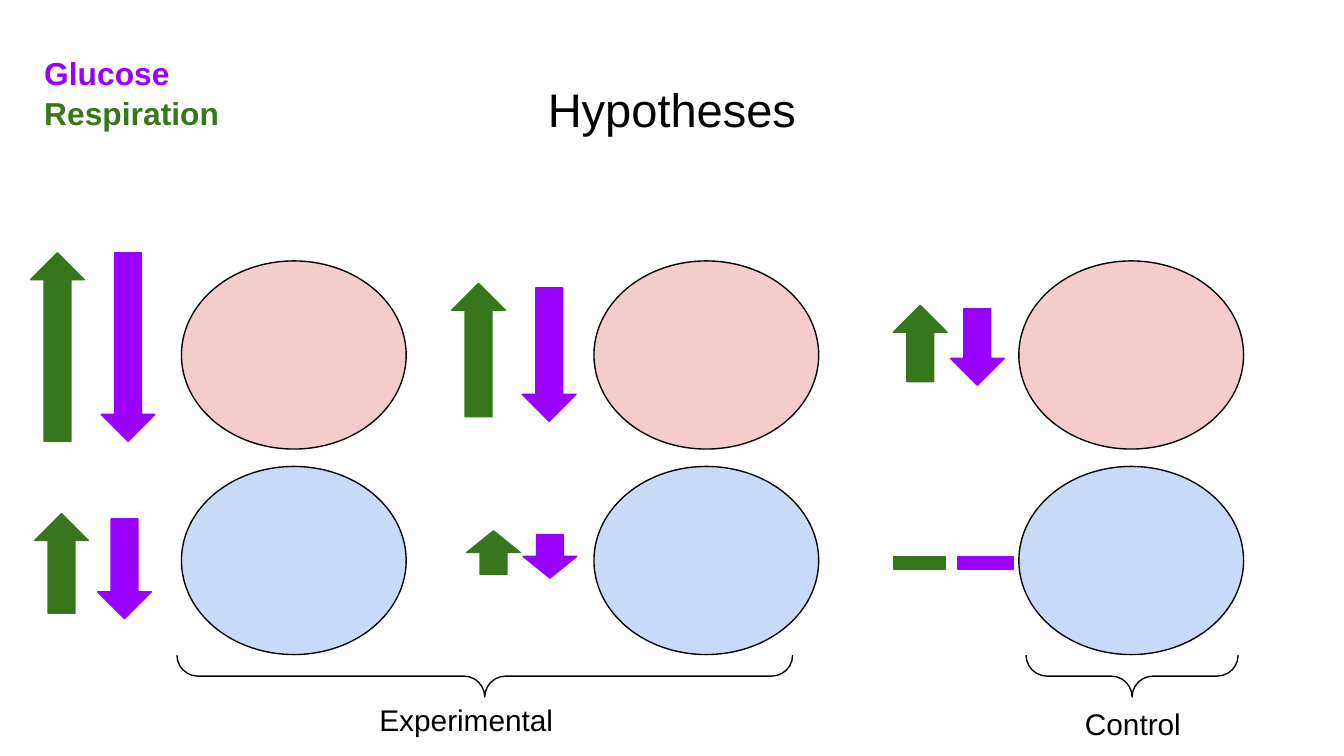
from pptx import Presentation
from pptx.dml.color import RGBColor
from pptx.enum import shapes, text
from pptx.util import Pt

KIND = shapes.MSO_SHAPE
GREEN, PURPLE = "38761D", "9900FF"
PINK, BLUE, BLACK = "F4CCCC", "C9DAF8", "000000"


def color(code):
    return RGBColor.from_string(code)


class Board:
    face = "Arial"
    stroke = 0.75

    def __init__(self, slide):
        self.slide = slide

    def group(self):
        return self.slide.shapes.add_group_shape()

    def shape(self, kind, box, fill=None, line=BLACK, turn=0, adjust=(), home=None):
        """Draw a preset shape on the slide, or in the group given as home."""
        item = (home or self.slide).shapes.add_shape(kind, *map(Pt, box))
        item.shadow.inherit = False
        item.rotation = turn
        for i, value in enumerate(adjust):
            item.adjustments[i] = value
        if fill:
            item.fill.solid()
            item.fill.fore_color.rgb = color(fill)
        else:
            item.fill.background()
        item.line.color.rgb = color(line)
        item.line.width = Pt(self.stroke)

    def label(self, box, lines, size, align="CENTER", anchor="TOP", bold=False, space=1):
        """Write one paragraph for each (words, colour) pair in lines."""
        frame = self.slide.shapes.add_textbox(*map(Pt, box)).text_frame
        style = {"word_wrap": True, "vertical_anchor": text.MSO_ANCHOR[anchor]}
        for side in ("left", "top", "right", "bottom"):
            style["margin_" + side] = Pt(7.2)
        for name, value in style.items():
            setattr(frame, name, value)
        for i, (words, ink) in enumerate(lines):
            para = frame.add_paragraph() if i else frame.paragraphs[0]
            para.alignment = text.PP_ALIGN[align]
            para.line_spacing = space
            run = para.add_run()
            run.text = words
            for name, value in {"name": self.face, "size": Pt(size), "bold": bold}.items():
                setattr(run.font, name, value)
            run.font.color.rgb = color(ink)

    def dishes(self, left, home=None):
        """Place a warm dish above a cool one."""
        for top, fill in ((139.8, PINK), (249.9, BLUE)):
            self.shape(KIND.OVAL, (left, top, 120.4, 100.8), fill, home=home)

    def brace(self, mid, width):
        """Draw a brace that opens upward, centred on mid."""
        deep, level = 22.4, 362.2
        box = (mid - deep / 2, level - width / 2, deep, width)
        self.shape(KIND.LEFT_BRACE, box, turn=270, adjust=(0.5, 0.5))

    def arrows(self, up, down, tall):
        """Pair a rising green arrow with a falling purple one."""
        home = self.group()
        for spot, ink, turn in ((up, GREEN, 0), (down, PURPLE, 180)):
            self.shape(KIND.UP_ARROW, (*spot, 28.8, tall), ink, ink, turn, (0.5, 0.5), home)

    def dashes(self, top, tall):
        """Pair two level bars that stand for no change."""
        home = self.group()
        for left, wide, ink in ((473.8, 37.6, GREEN), (507.8, 40.6, PURPLE)):
            self.shape(KIND.MATH_MINUS, (left, top, wide, tall), ink, ink,
                       adjust=(0.235,), home=home)


def main():
    deck = Presentation()
    deck.slide_width, deck.slide_height = Pt(720), Pt(405)
    board = Board(deck.slides.add_slide(deck.slide_layouts[6]))

    board.label((24.5, 35.3, 671, 45.4), [("Hypotheses", BLACK)], 25.2, anchor="MIDDLE")
    board.label((16.6, 20.9, 147.6, 51.8), [("Glucose", PURPLE), ("Respiration", GREEN)],
                17, align="LEFT", bold=True, space=1.04)

    for left in (97.2, 318.2):
        board.dishes(left)
    board.dishes(545.8, board.group())

    for left, top, name, mid, width in ((150.5, 368.6, "Experimental", 259.7, 329.8),
                                        (507.6, 370.8, "Control", 606.5, 113.6)):
        board.label((left, top, 198.7, 23), [(name, BLACK)], 16)
        board.brace(mid, width)

    board.dashes(288, 27.4)
    for up, down, tall in (
        ((478.6, 163.6), (509.2, 165.4), 41),
        ((250, 284.4), (280.2, 286.4), 23.3),
        ((18.6, 275.2), (52.3, 278), 53.4),
        ((16.4, 135.4), (54.2, 135.4), 101),
        ((242, 151.8), (279.8, 154.2), 71.5),
    ):
        board.arrows(up, down, tall)

    deck.save("out.pptx")


if __name__ == "__main__":
    main()
